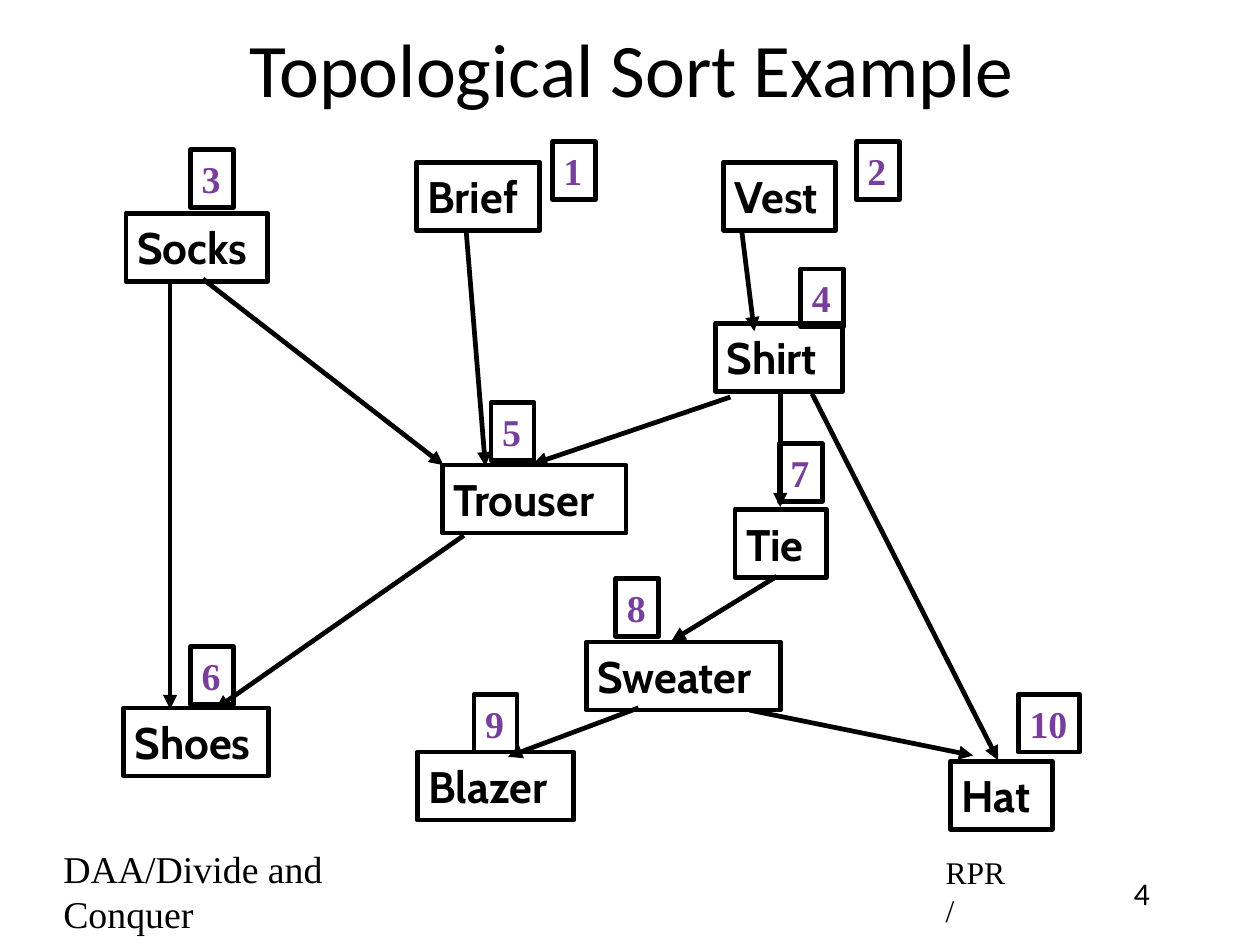
from lxml import etree
from pptx import Presentation
from pptx import util as u
from pptx.dml.color import RGBColor
from pptx.enum import shapes, text
from pptx.oxml.ns import qn

PX = 9144
BLACK, PURPLE = "000000", "773F9B"
SERIF = "Times New Roman"
NODE_H, BADGE_H = 60, 51

TITLE = ("Topological Sort Example", 83, 7, 944, 104)
FOOTERS = [
    ("DAA/Divide and Conquer", 46, 762, 360, 47, dict(size=24, font=SERIF)),
    ("RPR/", 824, 764, 74, 42, dict(size=20, font=SERIF)),
    ("4", 972, 764, 66, 42, dict(size=20, font="Calibri", align="CENTER", anchor="TOP")),
]
GARMENTS = [
    ("Brief", 367, 143, 109), ("Vest", 638, 143, 99), ("Socks", 111, 188, 125),
    ("Shirt", 631, 285, 112), ("Trouser", 390, 410, 162), ("Tie", 648, 449, 81),
    ("Sweater", 517, 566, 171), ("Shoes", 109, 624, 128), ("Blazer", 368, 663, 138),
    ("Hat", 838, 671, 90),
]
ARROWS = [
    (179, 246, 391, 410), (411, 203, 428, 411), (644, 350, 470, 409),
    (150, 247, 150, 625), (654, 203, 665, 292), (409, 472, 190, 625),
    (688, 343, 688, 447), (716, 347, 880, 670), (685, 508, 592, 565),
    (563, 624, 448, 667), (661, 626, 858, 666),
]
RANKS = [
    (487, 125), (755, 125), (168, 132), (706, 237), (433, 355),
    (168, 570), (687, 391), (543, 510), (418, 612), (898, 612),
]


def rgb(hex_color):
    return RGBColor.from_string(hex_color)


def px(*lengths):
    return [n * PX for n in lengths]


def write(sp, words, size=28, font="Cabin", color=BLACK, bold=False,
          align="LEFT", anchor="MIDDLE"):
    tf = sp.text_frame
    tf.word_wrap = True
    tf.auto_size = text.MSO_AUTO_SIZE.NONE
    tf.vertical_anchor = text.MSO_ANCHOR[anchor]
    tf.margin_left, tf.margin_top, tf.margin_right, tf.margin_bottom = px(10, 6, 6, 6)
    p = tf.paragraphs[0]
    p.alignment = text.PP_ALIGN[align]
    r = p.add_run()
    r.text = words
    r.font.size = u.Pt(size)
    r.font.name = font
    r.font.bold = bold
    r.font.color.rgb = rgb(color)


def outline(sp):
    sp.line.color.rgb = rgb(BLACK)
    sp.line.width = u.Pt(3)


def add_box(s, words, x, y, w, h, **fmt):
    sp = s.shapes.add_shape(shapes.MSO_SHAPE.RECTANGLE, *px(x, y, w, h))
    sp.shadow.inherit = False
    sp.fill.background()
    outline(sp)
    write(sp, words, bold=True, **fmt)


def add_arrow(s, *ends):
    cx = s.shapes.add_connector(shapes.MSO_CONNECTOR.STRAIGHT, *px(*ends))
    outline(cx)
    etree.SubElement(cx.line._get_or_add_ln(), qn("a:tailEnd"), type="triangle")
    etree.SubElement(cx._element.spPr, qn("a:effectLst"))


def main():
    prs = Presentation()
    prs.slide_width, prs.slide_height = px(1111, 833)
    s = prs.slides.add_slide(prs.slide_layouts[5])

    words, *place = TITLE
    title = s.shapes.title
    title.left, title.top, title.width, title.height = px(*place)
    write(title, words, size=48, font="Calibri", align="CENTER")

    for words, x, y, w, h, fmt in FOOTERS:
        write(s.shapes.add_textbox(*px(x, y, w, h)), words, **fmt)
    for name, x, y, w in GARMENTS:
        add_box(s, name, x, y, w, NODE_H)
    for ends in ARROWS:
        add_arrow(s, *ends)
    for rank, (x, y) in enumerate(RANKS, 1):
        w = 38 if rank < 10 else 54
        add_box(s, str(rank), x, y, w, BADGE_H, size=24, font=SERIF, color=PURPLE)

    prs.save("out.pptx")


if __name__ == "__main__":
    main()
